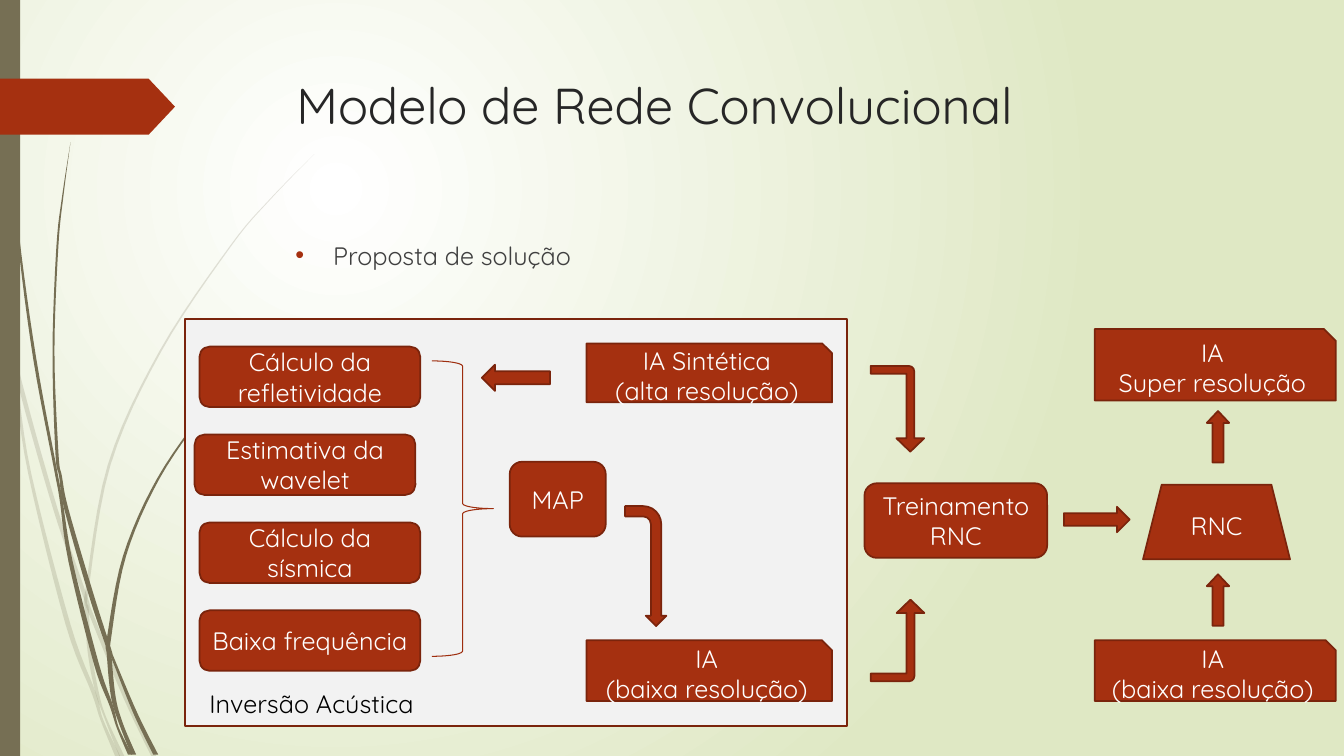
"""Build the slide on the convolutional network model."""
from lxml import etree
from pptx import Presentation
from pptx import util as u
from pptx.dml import color as dml
from pptx.enum import shapes, text
from pptx.oxml import ns

COLORS = {
    "stem": "766F54", "red": "A53010", "edge": "7A240C", "brace": "9E2E0F",
    "panel": "F2F2F2", "title": "262626", "body": "404040", "white": "FFFFFF",
    "black": "000000", "green": "DFE8C4",
}
FAINT_STEMS = [
    [(0, 209, 2), (5.5, 232, 2), (8.5, 252, 1.5), (11.2, 271, 2), (21.2, 338, 2.2),
     (48.6, 446, 3.5), (67, 495, 3), (72.7, 514, 2), (84, 540, 3.6)],
    [(10, 248, 0), (13.7, 271, 3), (27.7, 323, 3.2), (43.2, 375, 3.2), (61.2, 427, 3),
     (64.8, 438, 3), (90, 499, 3.2), (109.8, 540, 3.6)],
    [(224.6, 110, 0), (193.3, 142, 0.7), (164.5, 176, 1), (114.5, 251, 1.5), (78, 332, 2),
     (62.2, 421, 2.2), (62, 435, 2.9), (64, 465, 2.9), (69, 493, 2.5), (75, 512, 1.5),
     (87, 540, 3.6)],
]
DARK_STEMS = [
    [(2.5, 0, 0.5), (4, 35, 0.5), (5.4, 79, 0.7), (13, 168, 1.4), (24.8, 256, 2.2),
     (39.6, 335, 2), (43.5, 356, 2), (50.4, 401, 3), (68.8, 474, 3.6), (79.5, 504, 2.5),
     (84.2, 520, 1.5), (92.9, 539, 3)],
    [(50.4, 101.5, 0), (45, 139, 0.9), (41, 176, 1.4), (38.2, 251, 1.4), (40.7, 324, 2.2),
     (43.2, 340, 2), (47.5, 364, 3), (65.2, 425, 3.6), (78, 464, 3), (80.5, 470, 2),
     (96.5, 509, 2.9), (111.2, 539, 3.6)],
    [(187.5, 248, 0), (166.3, 269, 0.9), (147.2, 292, 1.2), (113, 342, 1.8), (89, 397, 2.2),
     (78, 455, 3), (78, 468, 3.3), (81, 498, 3.3), (86.5, 517, 2.8), (95.5, 539, 3.5)],
]
INPUTS = ["Cálculo da refletividade", "Estimativa da wavelet", "Cálculo da sísmica",
          "Baixa frequência"]
ELBOW = (0.146, 0.259, 0.25, 0.098)
UP = (0.5, 0.529)


def smooth(nodes, steps=6):
    """Return points on a Catmull-Rom curve through the nodes."""
    ends = [nodes[0], *nodes, nodes[-1]]
    points = []
    for a, b, c, d in zip(ends, ends[1:], ends[2:], ends[3:]):
        for t in (k / steps for k in range(steps)):
            points.append([
                q + t / 2 * (r - p + t * (2 * p - 5 * q + 4 * r - v + t * (3 * (q - r) + v - p)))
                for p, q, r, v in zip(a, b, c, d)])
    return points + [nodes[-1]]


class Deck:
    """Hold the style and the current slide."""

    def __init__(self, font="Quicksand"):
        """Start a wide presentation with one slide."""
        self.font = font
        self.prs = Presentation()
        self.prs.slide_width, self.prs.slide_height = u.Pt(960), u.Pt(540)
        self.s = self.prs.slides.add_slide(self.prs.slide_layouts[1])

    def rgb(self, name):
        """Return a named colour."""
        return dml.RGBColor.from_string(COLORS[name])

    def background(self, inner, outer):
        """Fill the background with a radial gradient."""
        fill = self.s.background.fill
        fill.gradient()
        for stop, name, position in zip(fill.gradient_stops, (inner, outer), (0, 1)):
            stop.color.rgb, stop.position = self.rgb(name), position
        lin = next(self.s._element.iter(ns.qn("a:lin")))
        radial = etree.Element(ns.qn("a:path"), path="circle")
        etree.SubElement(radial, ns.qn("a:fillToRect"),
                         l="50000", t="50000", r="100000", b="100000")
        lin.getparent().replace(lin, radial)

    def paint(self, sp, fill, line=None, width=1.25):
        """Set fill and outline and drop the shadow."""
        sp.shadow.inherit = False
        if fill:
            sp.fill.solid()
            sp.fill.fore_color.rgb = self.rgb(fill)
        else:
            sp.fill.background()
        if line:
            sp.line.color.rgb, sp.line.width = self.rgb(line), u.Pt(width)
        else:
            sp.line.fill.background()

    def stem(self, nodes, alpha=None):
        """Draw a curved grass stem of varying width."""
        points = smooth(nodes)
        outline = [(u.Pt(x + w / 2), u.Pt(y)) for x, y, w in points]
        outline += [(u.Pt(x - w / 2), u.Pt(y)) for x, y, w in reversed(points)]
        builder = self.s.shapes.build_freeform(*outline[0])
        builder.add_line_segments(outline[1:], close=True)
        sp = builder.convert_to_shape()
        self.paint(sp, "stem")
        if alpha:
            clr = next(sp._element.spPr.iter(ns.qn("a:srgbClr")))
            etree.SubElement(clr, ns.qn("a:alpha"), val=str(alpha * 1000))

    def shape(self, kind, box, fill="red", line="edge", width=1.25, rot=0, adj=(), flip=False):
        """Add a preset shape."""
        sp = self.s.shapes.add_shape(kind, *map(u.Pt, box))
        self.paint(sp, fill, line, width)
        sp.rotation = rot
        for i, value in enumerate(adj):
            sp.adjustments[i] = value
        if flip:
            sp._element.spPr.xfrm.set("flipV", "1")
        return sp

    def run(self, p, words, size, color):
        """Add one run to a paragraph."""
        r = p.add_run()
        r.text = words
        r.font.name, r.font.size = self.font, u.Pt(size)
        r.font.color.rgb = self.rgb(color)

    def block(self, kind, box, *lines):
        """Add a shape with centred lines of text."""
        tf = self.shape(kind, box).text_frame
        tf.word_wrap, tf.vertical_anchor = True, text.MSO_ANCHOR.MIDDLE
        for i, words in enumerate(lines):
            p = tf.add_paragraph() if i else tf.paragraphs[0]
            p.alignment = text.PP_ALIGN.CENTER
            self.run(p, words, 18, "white")

    def holder(self, index, box, words, size, color, bullet=None):
        """Move and fill a template placeholder."""
        sp = self.s.placeholders[index]
        sp.left, sp.top, sp.width, sp.height = map(u.Pt, box)
        tf = sp.text_frame
        tf.word_wrap, tf.auto_size = True, text.MSO_AUTO_SIZE.NONE
        tf.vertical_anchor = text.MSO_ANCHOR.TOP
        p = tf.paragraphs[0]
        if bullet:
            pPr = p._p.get_or_add_pPr()
            pPr.set("marL", str(u.Pt(27)))
            pPr.set("indent", str(u.Pt(-27)))
            clr = etree.SubElement(pPr, ns.qn("a:buClr"))
            etree.SubElement(clr, ns.qn("a:srgbClr"), val=COLORS["red"])
            etree.SubElement(pPr, ns.qn("a:buFont"), typeface="Arial")
            etree.SubElement(pPr, ns.qn("a:buChar"), char=bullet)
        p.alignment, p.space_before = text.PP_ALIGN.LEFT, u.Pt(0)
        self.run(p, words, size, color)

    def caption(self, box, words):
        """Add a plain text box."""
        tf = self.s.shapes.add_textbox(*map(u.Pt, box)).text_frame
        tf.word_wrap, tf.auto_size = True, text.MSO_AUTO_SIZE.SHAPE_TO_FIT_TEXT
        self.run(tf.paragraphs[0], words, 18, "black")


def main():
    """Compose the slide and save it."""
    d, kinds = Deck(), shapes.MSO_SHAPE
    d.background("white", "green")
    for nodes in FAINT_STEMS:
        d.stem(nodes, alpha=20)
    for nodes in DARK_STEMS:
        d.stem(nodes)
    d.shape(kinds.RECTANGLE, (0, 0, 14.4, 540), "stem", None)
    d.shape(kinds.PENTAGON, (0, 56.2, 125, 40), "red", None, adj=(0.47,))
    d.shape(kinds.RECTANGLE, (132.3, 227.8, 473, 290.6), "panel")
    d.holder(0, (204.5, 49, 702, 100.8), "Modelo de Rede Convolucional", 36, "title")
    d.holder(1, (203.8, 167.8, 702, 45.4), "Proposta de solução", 18, "body", "•")

    for i, words in enumerate(INPUTS):
        left = 139 if i == 1 else 142.5
        d.block(kinds.ROUNDED_RECTANGLE, (left, 247.6 + 62.8 * i, 157.7, 43.2), words)
    d.block(kinds.ROUNDED_RECTANGLE, (364.1, 329.8, 68.6, 53.5), "MAP")
    d.block(kinds.ROUNDED_RECTANGLE, (617.5, 345.2, 130.5, 53.3), "Treinamento RNC")
    d.block(kinds.TRAPEZOID, (816.5, 346.2, 105, 53.3), "RNC")
    snip = kinds.SNIP_1_RECTANGLE
    d.block(snip, (419, 245.4, 175.4, 42), "IA Sintética", "(alta resolução)")
    for left, width in ((419, 175.4), (782, 172.2)):
        d.block(snip, (left, 457.3, width, 43.4), "IA", "(baixa resolução)")
    d.block(snip, (782, 235, 172.2, 51.2), "IA", "Super resolução")

    d.shape(kinds.RIGHT_ARROW, (760, 362, 47, 18.2))
    d.shape(kinds.RIGHT_ARROW, (344.2, 260.5, 48.6, 18.7), rot=180)
    for top in (410.2, 293.6):
        d.shape(kinds.DOWN_ARROW, (862, top, 16, 36.7), rot=180, adj=UP)
    d.shape(kinds.LEFT_BRACE, (308.4, 257.8, 44, 211), None, "brace", 0.75, rot=180)
    d.shape(kinds.BENT_ARROW, (418.4, 389.6, 85.7, 29.5), rot=90)
    d.shape(kinds.BENT_ARROW, (610.4, 272.9, 61.2, 38.2), rot=90, adj=ELBOW)
    d.shape(kinds.BENT_ARROW, (612, 438.4, 58.3, 38.2), rot=270, adj=ELBOW, flip=True)
    d.caption((142.5, 488.2, 183, 29), "Inversão Acústica")
    d.prs.save("out.pptx")


if __name__ == "__main__":
    main()
